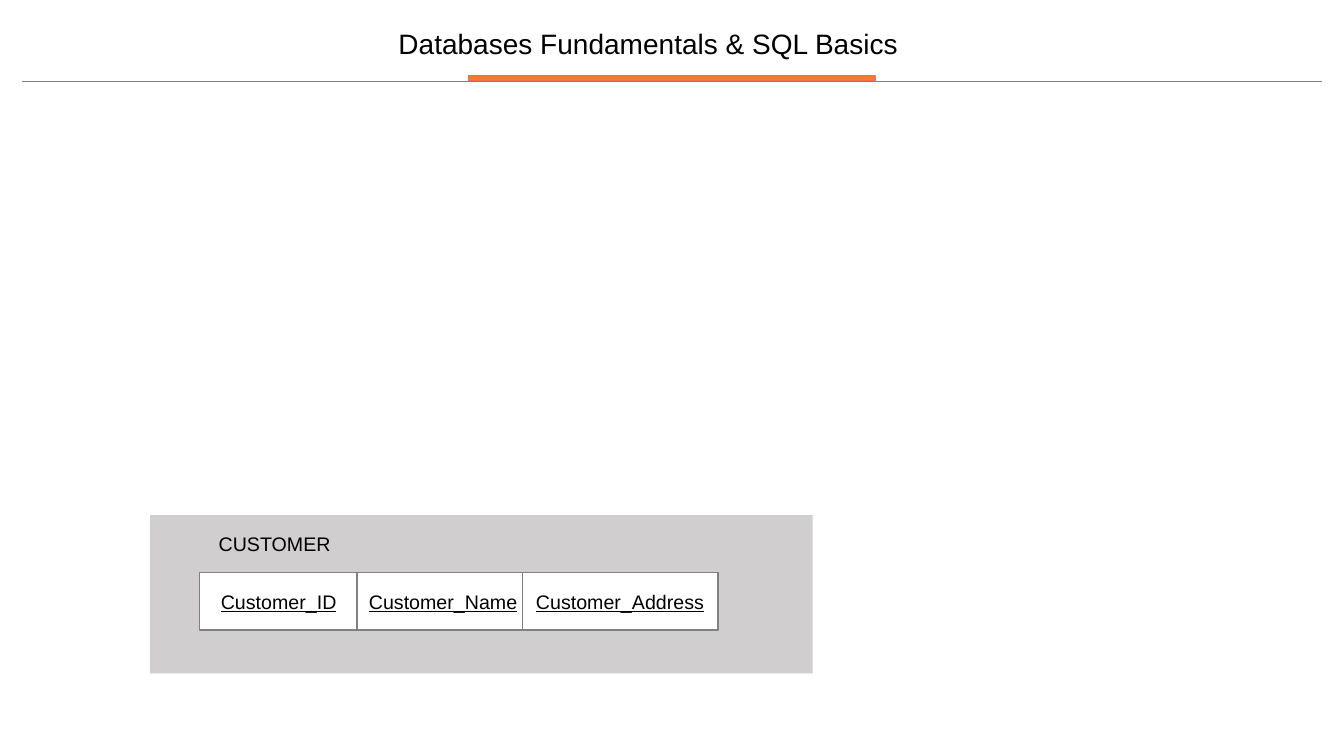
from pptx import Presentation
from pptx.dml.color import RGBColor
from pptx.enum.shapes import MSO_CONNECTOR as Connector, MSO_SHAPE as Shape
from pptx.enum.text import MSO_ANCHOR as Anchor, MSO_AUTO_SIZE as AutoSize, PP_ALIGN as Align
from pptx.oxml.ns import qn
from pptx.util import Inches, Pt
from lxml import etree

ACCENT, ORANGE, GREY = "F46F4F", "ED7D31", "808080"
PANEL, WHITE, BLACK = "D0CECE", "FFFFFF", "000000"
COLUMN_TOP, COLUMN_HEIGHT = 5.68, 0.57
COLUMNS = [("Customer_ID", 1.98, 1.57),
           ("Customer_Name", 3.54, 1.71),
           ("Customer_Address", 5.18, 1.94)]


def colour(value):
    return RGBColor.from_string(value)


def set_all(target, values):
    for name, value in values.items():
        setattr(target, name, value)


class SlideBuilder:
    font = "Arial"

    def __init__(self, page):
        self.page = page
        self.shapes = page.shapes

    def start_group(self):
        """Send the elements that follow into a new group."""
        self.shapes = self.page.shapes.add_group_shape().shapes

    def fill_text(self, box, text, size, frame_format, align=Align.LEFT, spacing=None,
                  underline=None):
        frame = box.text_frame
        set_all(frame, {"word_wrap": True, **frame_format})
        para = frame.paragraphs[0]
        set_all(para, {"alignment": align, "line_spacing": spacing})
        span = para.add_run()
        span.text = text
        set_all(span.font, {"name": self.font, "size": Pt(size), "underline": underline})
        span.font.color.rgb = colour(BLACK)

    def title(self, text, left, top, width, height):
        box = self.page.shapes.title
        set_all(box, {"left": Inches(left), "top": Inches(top),
                      "width": Inches(width), "height": Inches(height)})
        self.fill_text(box, text, 20,
                       {"vertical_anchor": Anchor.MIDDLE, "auto_size": AutoSize.NONE},
                       Align.CENTER, 0.9)

    def label(self, text, *place):
        box = self.shapes.add_textbox(*map(Inches, place))
        self.fill_text(box, text, 14, {"auto_size": AutoSize.SHAPE_TO_FIT_TEXT})

    def rectangle(self, *place, fill, line=None):
        box = self.shapes.add_shape(Shape.RECTANGLE, *map(Inches, place))
        box.shadow.inherit = False
        box.fill.solid()
        box.fill.fore_color.rgb = colour(fill)
        if line:
            box.line.color.rgb = colour(line)
            box.line.width = Pt(1)
        else:
            box.line.fill.background()
        return box

    def column(self, text, left, width):
        box = self.rectangle(left, COLUMN_TOP, width, COLUMN_HEIGHT, fill=WHITE, line=GREY)
        self.fill_text(box, text, 14, {"vertical_anchor": Anchor.MIDDLE}, Align.CENTER,
                       underline=True)

    def rule(self, *ends):
        line = self.shapes.add_connector(Connector.STRAIGHT, *map(Inches, ends))
        line.line.color.rgb = colour(GREY)
        line.line.width = Pt(0.75)
        etree.SubElement(line._element.spPr, qn("a:effectLst"))


def main():
    deck = Presentation()
    set_all(deck, {"slide_width": Inches(13.33), "slide_height": Inches(7.5)})
    slide = SlideBuilder(deck.slides.add_slide(deck.slide_layouts[5]))

    slide.rule(0.22, 0.81, 13.11, 0.81)
    slide.rectangle(4.65, 0.75, 4.03, 0.05, fill=ORANGE, line=ACCENT)
    slide.title("Databases Fundamentals & SQL Basics", 3.75, 0.26, 5.36, 0.38)

    slide.start_group()
    slide.rectangle(1.49, 5.11, 6.57, 1.57, fill=PANEL)
    for name, left, width in COLUMNS:
        slide.column(name, left, width)
    slide.label("CUSTOMER", 2.07, 5.23, 1.57, 0.34)

    deck.save("out.pptx")


if __name__ == "__main__":
    main()
